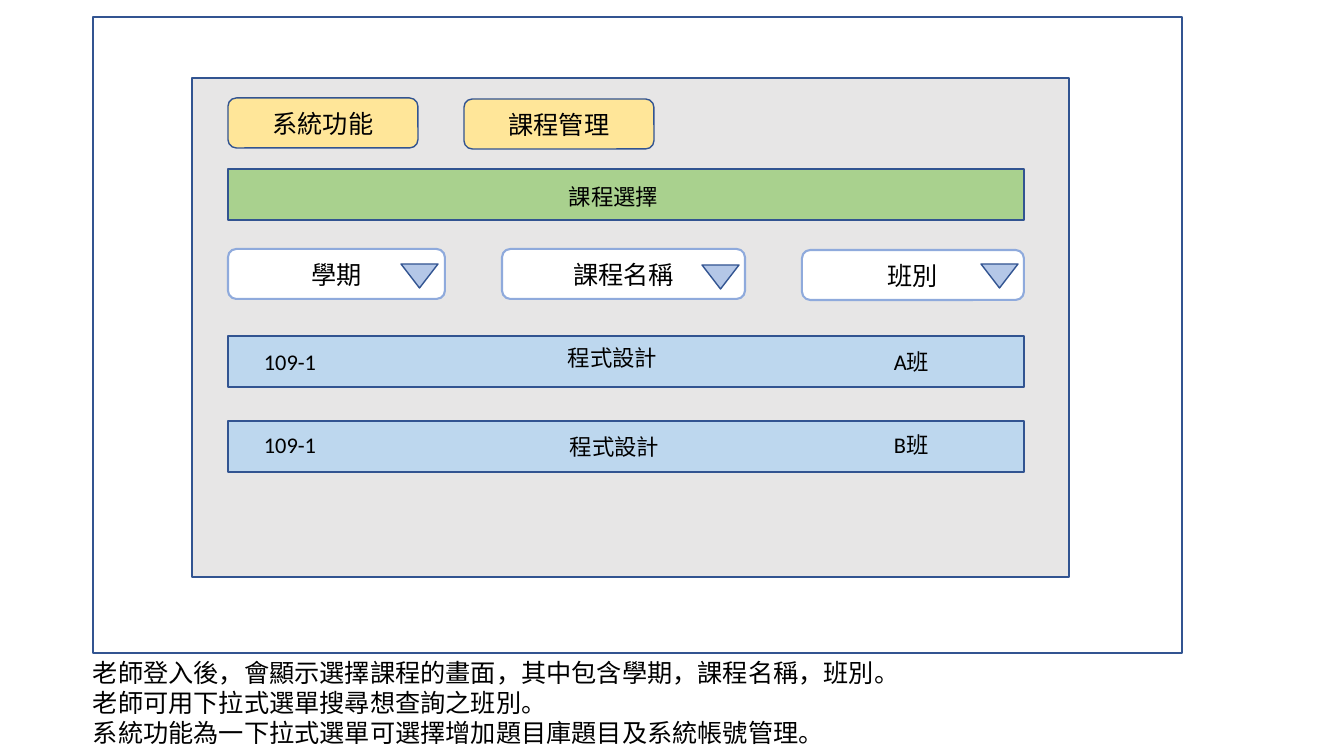
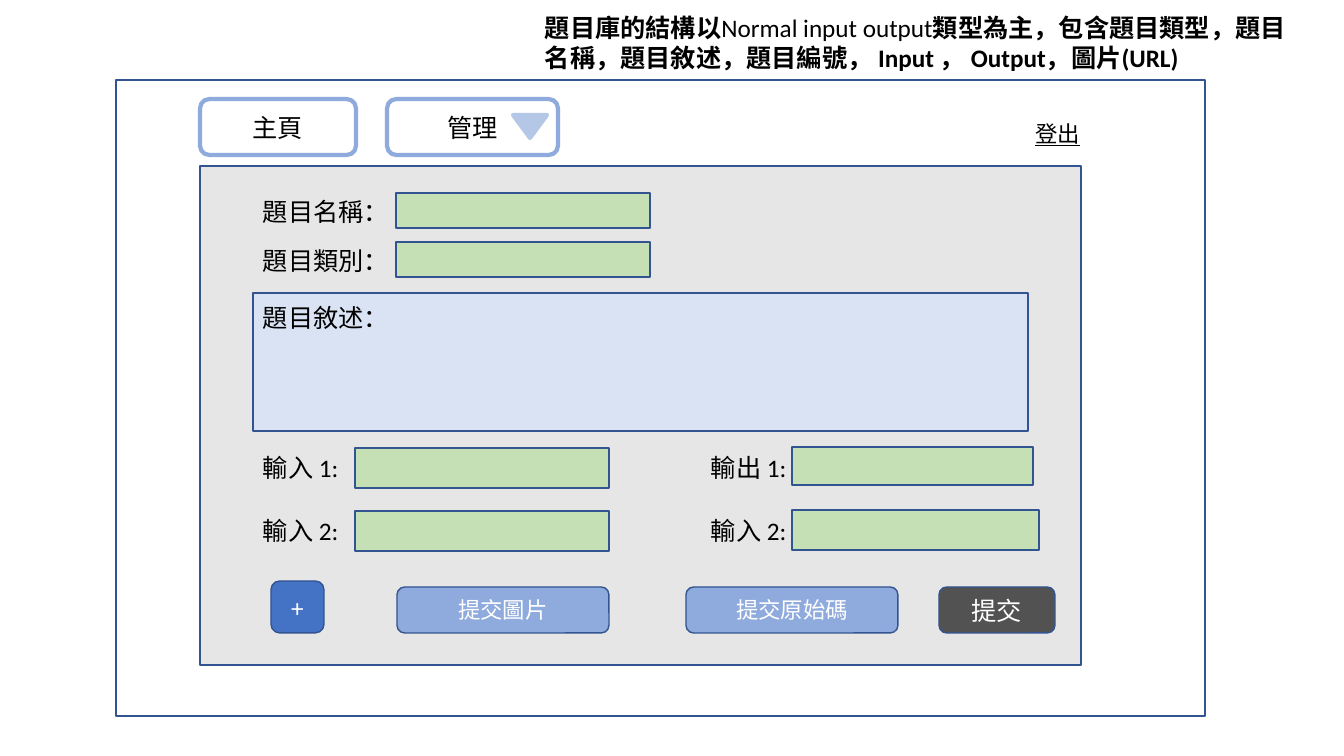
from pptx import Presentation
from pptx.dml.color import RGBColor
from pptx.enum.shapes import MSO_SHAPE
from pptx.enum.text import MSO_ANCHOR, PP_ALIGN
from pptx.util import Emu, Pt

WHITE = RGBColor(0xFF, 0xFF, 0xFF)
BLACK = RGBColor(0x00, 0x00, 0x00)
NAVY = RGBColor(0x32, 0x54, 0x91)
GRAY = RGBColor(0xE7, 0xE6, 0xE6)
CHARCOAL = RGBColor(0x52, 0x52, 0x52)
GREEN = RGBColor(0xA9, 0xD1, 0x8E)
PALE_GREEN = RGBColor(0xC5, 0xE0, 0xB4)
YELLOW = RGBColor(0xFF, 0xE6, 0x99)
BLUE = RGBColor(0x44, 0x72, 0xC4)
MID_BLUE = RGBColor(0x8F, 0xAA, 0xDC)
SOFT_BLUE = RGBColor(0xB4, 0xC7, 0xE7)
SKY = RGBColor(0xBD, 0xD7, 0xEE)
PALE_BLUE = RGBColor(0xDA, 0xE3, 0xF3)


class Mockup:
    font = "Calibri"
    scale = 914400 / 100.8

    def __init__(self):
        self.deck = Presentation()
        self.deck.slide_width = self.px(1344)
        self.deck.slide_height = self.px(756)
        self.slide = None

    def px(self, length):
        return Emu(round(length * self.scale))

    def place(self, area):
        return [self.px(length) for length in area]

    def new_slide(self):
        self.slide = self.deck.slides.add_slide(self.deck.slide_layouts[6])

    def add_words(self, paragraph, text, size, color=BLACK, bold=None, underline=None):
        run = paragraph.add_run()
        run.text = text
        run.font.name = self.font
        run.font.size = Pt(size)
        run.font.color.rgb = color
        run.font.bold = bold
        run.font.underline = underline

    def box(self, area, fill, line=NAVY, width=1, kind=MSO_SHAPE.RECTANGLE):
        shape = self.slide.shapes.add_shape(kind, *self.place(area))
        shape.shadow.inherit = False
        if fill is None:
            shape.fill.background()
        else:
            shape.fill.solid()
            shape.fill.fore_color.rgb = fill
        if line is None:
            shape.line.fill.background()
        else:
            shape.line.color.rgb = line
            shape.line.width = Pt(width)
        return shape

    def button(self, area, text, fill, color=BLACK, size=18, line=NAVY, width=1):
        shape = self.box(area, fill, line, width, MSO_SHAPE.ROUNDED_RECTANGLE)
        frame = shape.text_frame
        frame.word_wrap = True
        frame.vertical_anchor = MSO_ANCHOR.MIDDLE
        frame.paragraphs[0].alignment = PP_ALIGN.CENTER
        self.add_words(frame.paragraphs[0], text, size, color)

    def triangle(self, area, line=NAVY, width=1):
        shape = self.box(area, SOFT_BLUE, line, width, MSO_SHAPE.FLOWCHART_EXTRACT)
        shape.rotation = 180

    def text(self, area, paragraphs, size=18, align=PP_ALIGN.LEFT, underline=None):
        frame = self.slide.shapes.add_textbox(*self.place(area)).text_frame
        frame.word_wrap = True
        for index, runs in enumerate(paragraphs):
            paragraph = frame.add_paragraph() if index else frame.paragraphs[0]
            paragraph.alignment = align
            for words, bold in runs:
                self.add_words(paragraph, words, size, BLACK, bold, underline)

    def label(self, area, text, size=18, **style):
        self.text(area, [[(text, None)]], size, **style)

    def caption(self, area, text, fill):
        frame = self.box(area, fill, None).text_frame
        frame.word_wrap = True
        frame.vertical_anchor = MSO_ANCHOR.TOP
        frame.paragraphs[0].alignment = PP_ALIGN.LEFT
        self.add_words(frame.paragraphs[0], text, 16)

    def screen(self, window, panel):
        self.box(window, WHITE)
        self.box(panel, GRAY)


def course_selection(page):
    page.new_slide()
    page.text((83, 652, 982, 102), [
        [("老師登入後，會顯示選擇課程的畫面，其中包含學期，課程名稱，班別。", None)],
        [("老師可用下拉式選單搜尋想查詢之班別。", None)],
        [("系統功能為一下拉式選單可選擇增加題目庫題目及系統帳號管理。", None)],
    ])
    page.screen((93, 17, 1089, 636), (192, 78, 877, 499))
    page.box((228, 169, 796, 51), GREEN)
    page.caption((559, 178, 133, 37), "課程選擇", GREEN)

    courses = [
        (336, [(254, 343, "109-1"), (558, 339, "程式設計"), (884, 343, "A班")]),
        (421, [(254, 426, "109-1"), (560, 428, "程式設計"), (884, 426, "B班")]),
    ]
    for top, cells in courses:
        page.box((228, top, 796, 51), SKY)
        for left, cell_top, value in cells:
            page.label((left, cell_top, 134, 37), value, 16)

    for left, top, name in [(228, 98, "系統功能"), (464, 99, "課程管理")]:
        page.button((left, top, 190, 50), name, YELLOW)

    filters = [
        (228, 249, 217, "學期", 401, 264),
        (502, 249, 243, "課程名稱", 702, 265),
        (802, 250, 222, "班別", 981, 264),
    ]
    for left, top, width, name, arrow_left, arrow_top in filters:
        page.button((left, top, width, 50), name, WHITE, line=MID_BLUE, width=1.5)
        page.triangle((arrow_left, arrow_top, 37, 24))


def question_editor(page):
    page.new_slide()
    page.screen((116, 80, 1089, 636), (200, 166, 881, 499))
    page.box((253, 293, 775, 138), PALE_BLUE)
    page.label((253, 297, 134, 41), "題目敘述：")

    for top, name in [(193, "題目名稱："), (242, "題目類別：")]:
        page.box((396, top, 254, 35), PALE_GREEN)
        page.label((253, top - 2, 134, 41), name)

    examples = [
        (447, "輸入 1:", "輸出 1:", 241, 38),
        (510, "輸入 2:", "輸入 2:", 247, 40),
    ]
    for top, left_name, right_name, width, height in examples:
        page.box((355, top + 1, 254, 40), PALE_GREEN)
        page.box((792, top, width, height), PALE_GREEN)
        page.label((253, top, 96, 40), left_name)
        page.label((701, top, 127, 40), right_name)

    page.button((271, 581, 53, 52), "+", BLUE, WHITE)
    page.button((939, 587, 116, 46), "提交", CHARCOAL, WHITE)
    for left, name in [(397, "提交圖片"), (686, "提交原始碼")]:
        page.button((left, 587, 212, 46), name, MID_BLUE, WHITE, 16)

    page.label((998, 115, 119, 37), "登出", 16, align=PP_ALIGN.CENTER, underline=True)
    page.text((535, 7, 775, 72), [[
        ("題目庫的結構以", True),
        ("Normal input output", False),
        ("類型為主，包含題目類型，題目名稱，題目敘述，題目編號，"
         " Input ， Output，圖片(URL)", True),
    ]])
    page.button((200, 99, 156, 56), "主頁", None, line=MID_BLUE, width=3)
    page.button((387, 99, 171, 56), "管理", WHITE, line=MID_BLUE, width=3)
    page.triangle((513, 115, 34, 23), SOFT_BLUE, 3)


mockup = Mockup()
course_selection(mockup)
question_editor(mockup)
mockup.deck.save("out.pptx")
